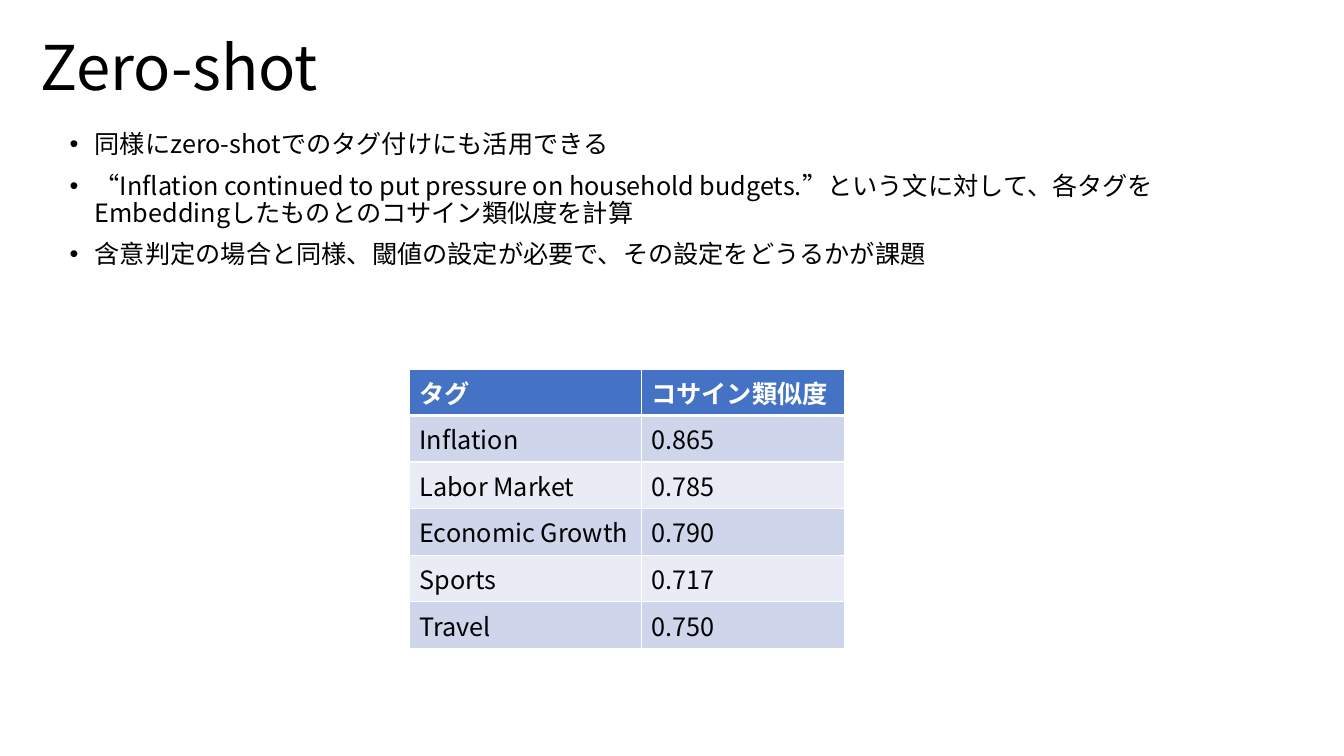
from lxml import etree
from pptx import Presentation
from pptx.dml.color import RGBColor
from pptx.enum.text import MSO_ANCHOR, MSO_AUTO_SIZE, PP_ALIGN
from pptx.oxml.ns import qn
from pptx.util import Pt

LEFT = PP_ALIGN.LEFT
TOP, MIDDLE = MSO_ANCHOR.TOP, MSO_ANCHOR.MIDDLE
NO_FIT = MSO_AUTO_SIZE.NONE

BLACK = RGBColor(0x00, 0x00, 0x00)
WHITE = RGBColor(0xFF, 0xFF, 0xFF)
BLUE = RGBColor(0x44, 0x72, 0xC4)
BANDS = RGBColor(0xE9, 0xEB, 0xF5), RGBColor(0xCF, 0xD5, 0xEA)

FONT = "Noto Sans CJK JP"
EMU_PER_PX = 9144

POINTS = [
    "同様にzero-shotでのタグ付けにも活用できる",
    "“Inflation continued to put pressure on household budgets.”という文に対して、"
    "各タグをEmbeddingしたものとのコサイン類似度を計算",
    "含意判定の場合と同様、閾値の設定が必要で、その設定をどうるかが課題",
]
SIMILARITIES = [
    ("タグ", "コサイン類似度"),
    ("Inflation", "0.865"),
    ("Labor Market", "0.785"),
    ("Economic Growth", "0.790"),
    ("Sports", "0.717"),
    ("Travel", "0.750"),
]


def px(length):
    return length * EMU_PER_PX


def write(para, text, size=18, color=BLACK, bold=False):
    span = para.add_run()
    span.text = text
    font = span.font
    font.size, font.bold, font.name = Pt(size), bold, FONT
    font.color.rgb = color
    east_asian = etree.SubElement(span._r.get_or_add_rPr(), qn("a:ea"))
    east_asian.set("typeface", FONT)


def add_border(cell, side, width):
    line = etree.SubElement(cell._tc.get_or_add_tcPr(), qn(f"a:ln{side}"), w=str(Pt(width)))
    fill = etree.SubElement(line, qn("a:solidFill"))
    etree.SubElement(fill, qn("a:srgbClr"), val=str(WHITE))


class SlideBuilder:
    """Builds the elements of one slide in a shared style."""

    def __init__(self, deck):
        self.page = deck.slides.add_slide(deck.slide_layouts[1])

    def place(self, box, left, top, width, height, anchor):
        box.left, box.top = px(left), px(top)
        box.width, box.height = px(width), px(height)
        frame = box.text_frame
        frame.word_wrap = True
        frame.auto_size = NO_FIT
        frame.vertical_anchor = anchor
        return frame

    def title(self, text, *area):
        para = self.place(self.page.shapes.title, *area, MIDDLE).paragraphs[0]
        para.alignment = LEFT
        para.line_spacing = 0.9
        write(para, text, size=44)

    def bullets(self, items, *area):
        frame = self.place(self.page.placeholders[1], *area, TOP)
        for index, item in enumerate(items):
            para = frame.add_paragraph() if index else frame.paragraphs[0]
            para.line_spacing = 0.9
            para.space_before = Pt(10)
            properties = para._p.get_or_add_pPr()
            properties.set("marL", str(px(25)))
            properties.set("indent", str(px(-25)))
            etree.SubElement(properties, qn("a:buFont"), typeface="Arial")
            etree.SubElement(properties, qn("a:buChar"), char="•")
            write(para, item)

    def table(self, rows, left, top, widths, row_height):
        grid = self.page.shapes.add_table(
            len(rows), len(widths), px(left), px(top),
            px(sum(widths)), px(row_height * len(rows))).table
        for column, width in zip(grid.columns, widths):
            column.width = px(width)
        for row, values in enumerate(rows):
            header = row == 0
            for column, value in enumerate(values):
                cell = grid.cell(row, column)
                for side in "LRTB":
                    thick = (header and side == "B") or (row == 1 and side == "T")
                    add_border(cell, side, 3 if thick else 1)
                cell.fill.solid()
                cell.fill.fore_color.rgb = BLUE if header else BANDS[row % 2]
                write(cell.text_frame.paragraphs[0], value,
                      color=WHITE if header else BLACK, bold=header)


def main():
    deck = Presentation()
    deck.slide_width, deck.slide_height = px(1333), px(750)
    builder = SlideBuilder(deck)
    builder.title("Zero-shot", 30, 20, 1150, 101)
    builder.bullets(POINTS, 59, 126, 1150, 174)
    builder.table(SIMILARITIES, 406, 366, (230, 202), 41)
    deck.save("out.pptx")


if __name__ == "__main__":
    main()
